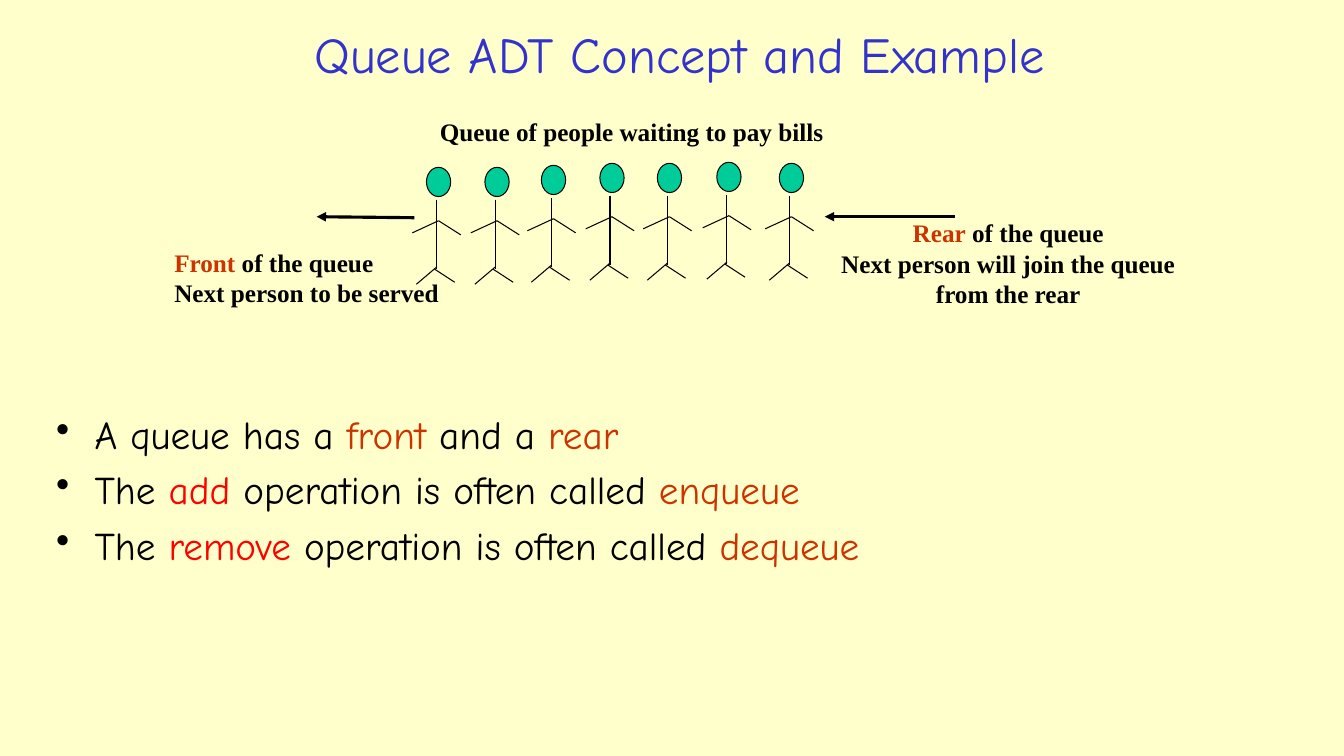
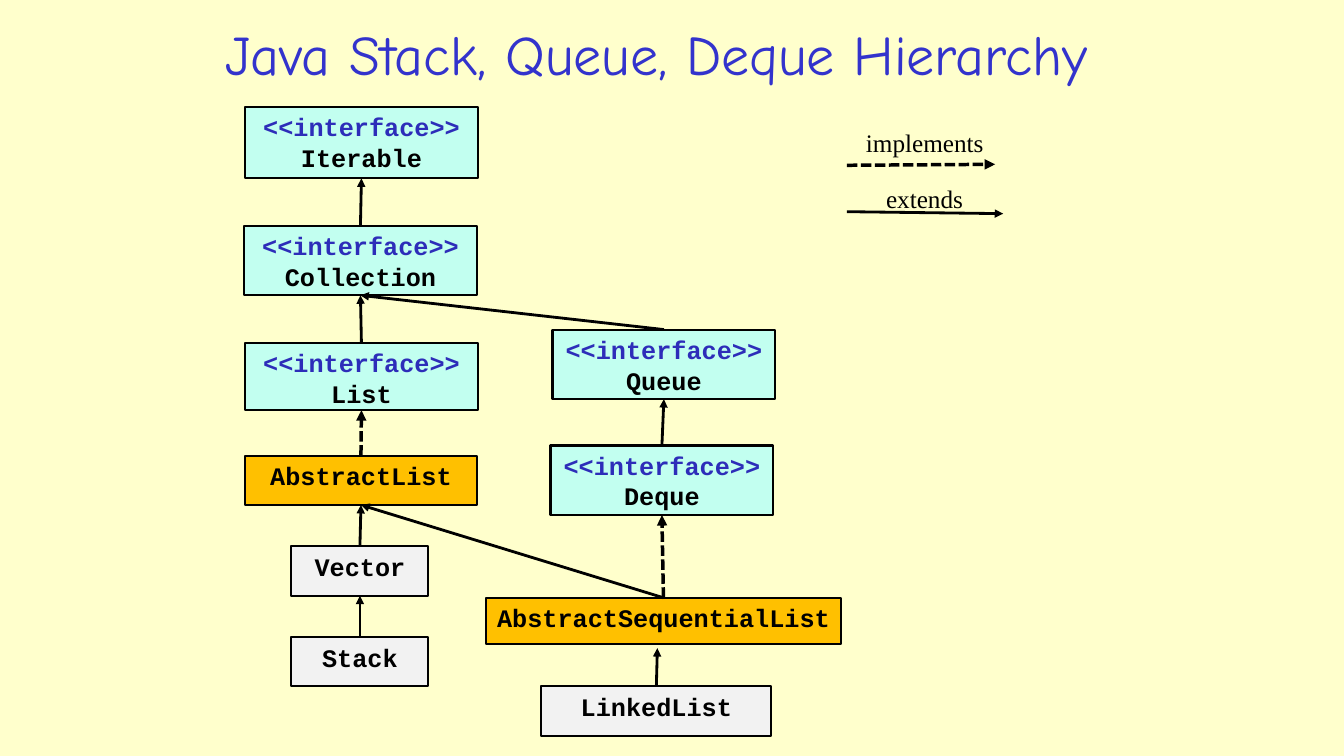
from lxml import etree
from pptx import Presentation
from pptx.dml.color import RGBColor
from pptx.enum.dml import MSO_LINE
from pptx.enum.shapes import MSO_CONNECTOR, MSO_SHAPE
from pptx.enum.text import MSO_ANCHOR, PP_ALIGN
from pptx.oxml.ns import qn
from pptx.util import Inches, Pt

LINE = MSO_CONNECTOR.STRAIGHT
RECT, OVAL = MSO_SHAPE.RECTANGLE, MSO_SHAPE.OVAL
DASH = MSO_LINE.SQUARE_DOT
TOP, MIDDLE = MSO_ANCHOR.TOP, MSO_ANCHOR.MIDDLE
LEFT, CENTER = PP_ALIGN.LEFT, PP_ALIGN.CENTER

HAND, MONO, SERIF = "Comic Neue", "Courier New", "Times New Roman"
COLORS = {
    "paper": "FFFFCC", "title": "3333CC", "black": "000000",
    "rust": "CC3300", "red": "FF0000", "head": "00CC99", "tag": "2D2DB9",
    "interface": "C2FFF0", "abstract": "FFC000", "class": "F2F2F2",
}
RGB = {name: RGBColor.from_string(code) for name, code in COLORS.items()}


def write(shape, lines, font, size, align=LEFT, bold=False):
    """Fill a shape with lines, each a list of (text, colour name) runs."""
    frame = shape.text_frame
    for i, runs in enumerate(lines):
        para = frame.paragraphs[0] if i == 0 else frame.add_paragraph()
        para.alignment = align
        base = runs[0][1]
        para.font.name, para.font.size, para.font.bold = font, Pt(size), bold
        para.font.color.rgb = RGB[base]
        for text, color in runs:
            run = para.add_run()
            run.text = text
            if color != base:
                run.font.color.rgb = RGB[color]
    return frame


def link(shapes, ends, width, arrow=True, dashed=False):
    """Draw a black line through ends (x1, y1, x2, y2), in inches."""
    wire = shapes.add_connector(LINE, *map(Inches, ends))
    wire.line.color.rgb = RGB["black"]
    wire.line.width = Pt(width)
    if dashed:
        wire.line.dash_style = DASH
    props = wire.element.spPr
    if arrow:
        etree.SubElement(props.find(qn("a:ln")), qn("a:tailEnd"), type="triangle")
    etree.SubElement(props, qn("a:effectLst"))
    return wire


prs = Presentation()
prs.slide_width, prs.slide_height = Inches(13.33), Inches(7.5)
paper = prs.slide_master.background.fill
paper.solid()
paper.fore_color.rgb = RGB["paper"]

# Slides and titles
pages = []
for text, size, left, width in [
    ("Queue ADT Concept and Example", 36, 1.97, 9.54),
    ("Java Stack, Queue, Deque Hierarchy", 40, 0.62, 11.78),
]:
    shapes = prs.slides.add_slide(prs.slide_layouts[6]).shapes
    box = shapes.add_textbox(Inches(left), Inches(0.15), Inches(width), Inches(0.76))
    frame = write(box, [[(text, "title")]], HAND, size, CENTER)
    frame.word_wrap = True
    frame.vertical_anchor = MIDDLE
    pages.append(shapes)
queue, tree = pages

# Slide 1: bullets
box = queue.add_textbox(Inches(0.46), Inches(4.02), Inches(12.36), Inches(1.81))
points = [
    [("A queue has a ", "black"), ("front", "rust"), (" and a ", "black"),
     ("rear", "rust")],
    [("The ", "black"), ("add", "red"), (" operation is often called ", "black"),
     ("enqueue", "rust")],
    [("The ", "black"), ("remove", "red"), (" operation is often called ", "black"),
     ("dequeue", "rust")],
]
box.text_frame.word_wrap = True
for _ in points[1:]:
    box.text_frame.add_paragraph()
for i, para in enumerate(box.text_frame.paragraphs):
    props = para._p.get_or_add_pPr()
    props.set("marL", str(Inches(0.38)))
    props.set("indent", str(-Inches(0.38)))
    etree.SubElement(props, qn("a:buChar"), char="•")
    if i:
        para.space_before = Pt(6)
    para.font.name, para.font.size = HAND, Pt(28)
    para.font.color.rgb = RGB["black"]
    for text, color in points[i]:
        run = para.add_run()
        run.text = text
        if color != "black":
            run.font.color.rgb = RGB[color]

# Slide 1: people, each placed by the neck
LIMBS = [
    (-0.24, 0.33, 0.02, 0.21), (0.02, 0.21, 0.24, 0.35),
    (0, 0, 0, 0.69),
    (0, 0.67, -0.2, 0.84), (-0.02, 0.69, 0.18, 0.82),
]
for x, y in [(4.33, 1.98), (4.91, 1.98), (5.47, 1.96), (6.05, 1.94),
             (6.62, 1.94), (7.21, 1.93), (7.83, 1.94)]:
    person = queue.add_group_shape().shapes
    for x1, y1, x2, y2 in LIMBS:
        link(person, (x + x1, y + y1, x + x2, y + y2), 0.75, arrow=False)
    head = person.add_shape(OVAL, Inches(x - 0.1), Inches(y - 0.32),
                            Inches(0.24), Inches(0.29))
    head.shadow.inherit = False
    head.fill.solid()
    head.fill.fore_color.rgb = RGB["head"]
    head.line.color.rgb = RGB["black"]
    head.line.width = Pt(0.75)

link(queue, (4.11, 2.16, 3.14, 2.15), 2.25)
link(queue, (9.47, 2.15, 8.18, 2.15), 2.25)

# Labels of both slides
for shapes, left, top, width, height, align, bold, wrap, lines in [
    (queue, 1.63, 2.4, 2.95, 0.71, LEFT, True, True,
     [[("Front", "rust"), (" of the queue", "black")],
      [("Next person to be served", "black")]]),
    (queue, 7.95, 2.11, 4.1, 1.01, CENTER, True, True,
     [[("Rear", "rust"), (" of the queue", "black")],
      [("Next person will join the queue", "black")],
      [("from the rear", "black")]]),
    (queue, 4.26, 1.11, 4.01, 0.4, CENTER, True, False,
     [[("Queue of people waiting to pay bills", "black")]]),
    (tree, 8.49, 1.21, 1.38, 0.4, LEFT, False, False,
     [[("implements", "black")]]),
    (tree, 8.69, 1.77, 0.97, 0.4, LEFT, False, False,
     [[("extends", "black")]]),
]:
    box = shapes.add_textbox(*map(Inches, (left, top, width, height)))
    write(box, lines, SERIF, 18, align, bold).word_wrap = wrap

# Slide 2: types
nodes = {}
for name, kind, left, top, width, height in [
    ("Iterable", "interface", 2.43, 1.06, 2.31, 0.71),
    ("Collection", "interface", 2.42, 2.24, 2.31, 0.69),
    ("List", "interface", 2.43, 3.4, 2.31, 0.67),
    ("Queue", "interface", 5.48, 3.27, 2.21, 0.69),
    ("Deque", "interface", 5.46, 4.42, 2.21, 0.69),
    ("AbstractList", "abstract", 2.43, 4.52, 2.3, 0.49),
    ("AbstractSequentialList", "abstract", 4.82, 5.93, 3.52, 0.46),
    ("Vector", "class", 2.89, 5.42, 1.36, 0.49),
    ("Stack", "class", 2.89, 6.32, 1.36, 0.49),
    ("LinkedList", "class", 5.37, 6.81, 2.28, 0.49),
]:
    node = tree.add_shape(RECT, *map(Inches, (left, top, width, height)))
    node.shadow.inherit = False
    node.fill.solid()
    node.fill.fore_color.rgb = RGB[kind]
    node.line.color.rgb = RGB["black"]
    node.line.width = Pt(1.5)
    lines = [[(name, "black")]]
    if kind == "interface":
        lines.insert(0, [("<<interface>>", "tag")])
    write(node, lines, MONO, 18, CENTER, True).vertical_anchor = TOP
    nodes[name] = node

# Slide 2: arrows from the top of a type to the bottom of its parent
for child, parent, dashed in [
    ("Collection", "Iterable", False),
    ("List", "Collection", False),
    ("Queue", "Collection", False),
    ("Deque", "Queue", False),
    ("AbstractList", "List", True),
    ("Vector", "AbstractList", False),
    ("Stack", "Vector", False),
    ("AbstractSequentialList", "AbstractList", False),
    ("AbstractSequentialList", "Deque", True),
]:
    wire = link(tree, (0, 0, 0, 0), 2.5 if dashed else 2, dashed=dashed)
    wire.begin_connect(nodes[child], 0)
    wire.end_connect(nodes[parent], 2)

wire = link(tree, (6.52, 6.81, 6.52, 6.43), 2)
wire.begin_connect(nodes["LinkedList"], 0)

# Slide 2: legend arrows
link(tree, (8.4, 1.64, 9.87, 1.63), 2.5, dashed=True)
link(tree, (8.4, 2.1, 9.95, 2.12), 2)

prs.save("out.pptx")
